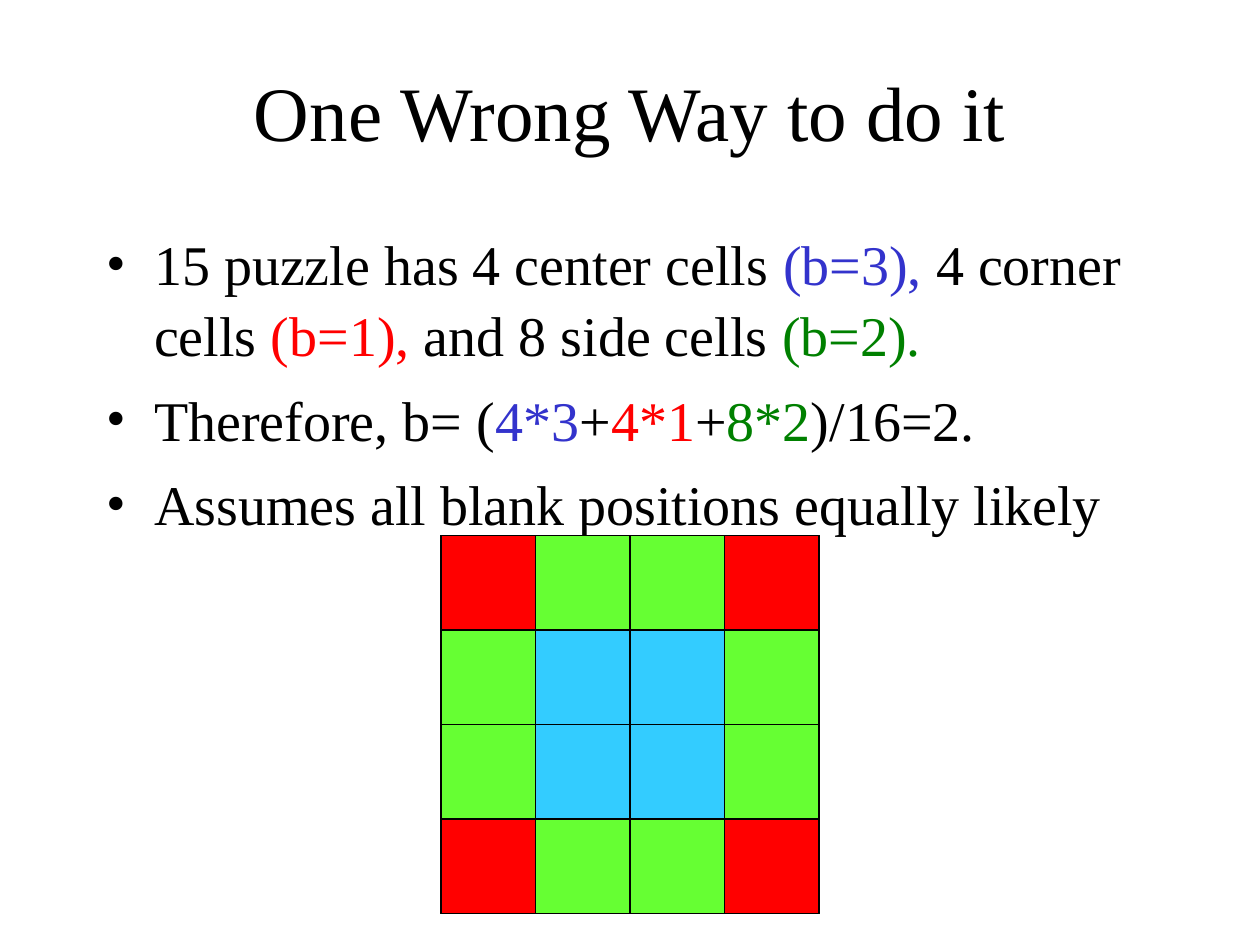
import dataclasses
import typing

import pptx
import pptx.dml.color
import pptx.enum.shapes
import pptx.enum.text
import pptx.oxml
import pptx.oxml.ns
import pptx.util

PX = 9525  # EMU in one px, 96 px to the inch
FONT = "Times New Roman"
COLORS = {
    "ink": "000000", "blue": "3333CC", "red": "FF0000", "green": "008000",
    "lime": "66FF33", "sky": "33CCFF",
}
FRAME = {
    "word_wrap": True,
    "auto_size": pptx.enum.text.MSO_AUTO_SIZE.NONE,
    "margin_left": pptx.util.Inches(0.1),
    "margin_right": pptx.util.Inches(0.1),
    "margin_top": pptx.util.Inches(0.05),
    "margin_bottom": pptx.util.Inches(0.05),
}


@dataclasses.dataclass
class Box:
    left: int
    top: int
    width: int
    height: int

    def emu(self) -> typing.List[int]:
        return [v * PX for v in dataclasses.astuple(self)]


class Span(typing.NamedTuple):
    text: str
    color: str = "ink"


TITLE = Box(72, 24, 816, 120)
BODY = Box(72, 168, 816, 232)
BOARD = Box(336, 408, 288, 288)
COUNT = 4
CELL = BOARD.width // COUNT

BULLETS = [
    [Span("15 puzzle has 4 center cells"), Span(" (b=3),", "blue"),
     Span(" 4 corner cells"), Span(" (b=1),", "red"),
     Span(" and 8 side cells"), Span(" (b=2).", "green")],
    [Span("Therefore, b= ("), Span("4*3", "blue"), Span("+"),
     Span("4*1", "red"), Span("+"), Span("8*2", "green"), Span(")/16=2.")],
    [Span("Assumes all blank positions equally likely")],
]


def rgb(name: str) -> pptx.dml.color.RGBColor:
    return pptx.dml.color.RGBColor.from_string(COLORS[name])


def apply(obj: typing.Any, values: dict) -> None:
    for key, value in values.items():
        setattr(obj, key, value)


def write(para: typing.Any, spans: typing.List[Span], size: int) -> None:
    for span in spans:
        run = para.add_run()
        run.text = span.text
        apply(run.font, {"name": FONT, "size": pptx.util.Pt(size)})
        run.font.color.rgb = rgb(span.color)


def bullet(para: typing.Any) -> None:
    props = para._p.get_or_add_pPr()
    props.set("marL", str(36 * PX))
    props.set("indent", str(-36 * PX))
    space = pptx.oxml.ns.nsdecls("a")
    for part in (
        f'<a:buClr {space}><a:srgbClr val="{COLORS["ink"]}"/></a:buClr>',
        f'<a:buFont {space} typeface="{FONT}"/>',
        f'<a:buChar {space} char="•"/>',
    ):
        props.append(pptx.oxml.parse_xml(part))


def stroke(shape: typing.Any) -> None:
    shape.line.color.rgb = rgb("ink")
    shape.line.width = pptx.util.Pt(0.75)


def square(group: typing.Any, box: Box, fill: typing.Optional[str] = None) -> typing.Any:
    kind = pptx.enum.shapes.MSO_SHAPE.RECTANGLE
    shape = group.shapes.add_shape(kind, *box.emu())
    shape.shadow.inherit = False
    if fill:
        shape.fill.solid()
        shape.fill.fore_color.rgb = rgb(fill)
    else:
        shape.fill.background()
    stroke(shape)
    return shape


def rule(group: typing.Any, ends: typing.List[int]) -> typing.Any:
    kind = pptx.enum.shapes.MSO_CONNECTOR.STRAIGHT
    line = group.shapes.add_connector(kind, *[v * PX for v in ends])
    stroke(line)
    space = pptx.oxml.ns.nsdecls("a")
    line._element.spPr.append(pptx.oxml.parse_xml(f"<a:effectLst {space}/>"))
    return line


def shade(row: int, col: int) -> str:
    """Colour a cell by how many board edges it touches."""
    edges = sum(n in (0, COUNT - 1) for n in (row, col))
    return ("sky", "lime", "red")[edges]


def board(slide: typing.Any) -> None:
    group = slide.shapes.add_group_shape()
    outer = square(group, BOARD)
    left, top = BOARD.left, BOARD.top
    right, low = left + BOARD.width, top + BOARD.height

    # Grid lines, the middle ones joined to the outline
    for across in (False, True):
        for n in range(1, COUNT):
            x, y = left + n * CELL, top + n * CELL
            line = rule(group, [left, y, right, y] if across else [x, top, x, low])
            if 2 * n == COUNT:
                line.begin_connect(outer, 1 if across else 0)
                line.end_connect(outer, 3 if across else 2)

    # Coloured cells
    for row in range(COUNT):
        for col in range(COUNT):
            box = Box(left + col * CELL, top + row * CELL, CELL, CELL)
            square(group, box, shade(row, col))


def main() -> None:
    deck = pptx.Presentation()
    deck.slide_width, deck.slide_height = 960 * PX, 720 * PX
    slide = deck.slides.add_slide(deck.slide_layouts[5])

    # Title
    title = slide.shapes.title
    apply(title, dict(zip(("left", "top", "width", "height"), TITLE.emu())))
    apply(title.text_frame, FRAME)
    title.text_frame.vertical_anchor = pptx.enum.text.MSO_ANCHOR.MIDDLE
    para = title.text_frame.paragraphs[0]
    para.alignment = pptx.enum.text.PP_ALIGN.CENTER
    write(para, [Span("One Wrong Way to do it")], 44)

    # Bullets
    frame = slide.shapes.add_textbox(*BODY.emu()).text_frame
    apply(frame, FRAME)
    for n, spans in enumerate(BULLETS):
        para = frame.add_paragraph() if n else frame.paragraphs[0]
        bullet(para)
        para.line_spacing = 1.05
        para.space_before = pptx.util.Pt(8 if n else 0)
        write(para, spans, 32)

    # Puzzle board
    board(slide)
    deck.save("out.pptx")


if __name__ == "__main__":
    main()
